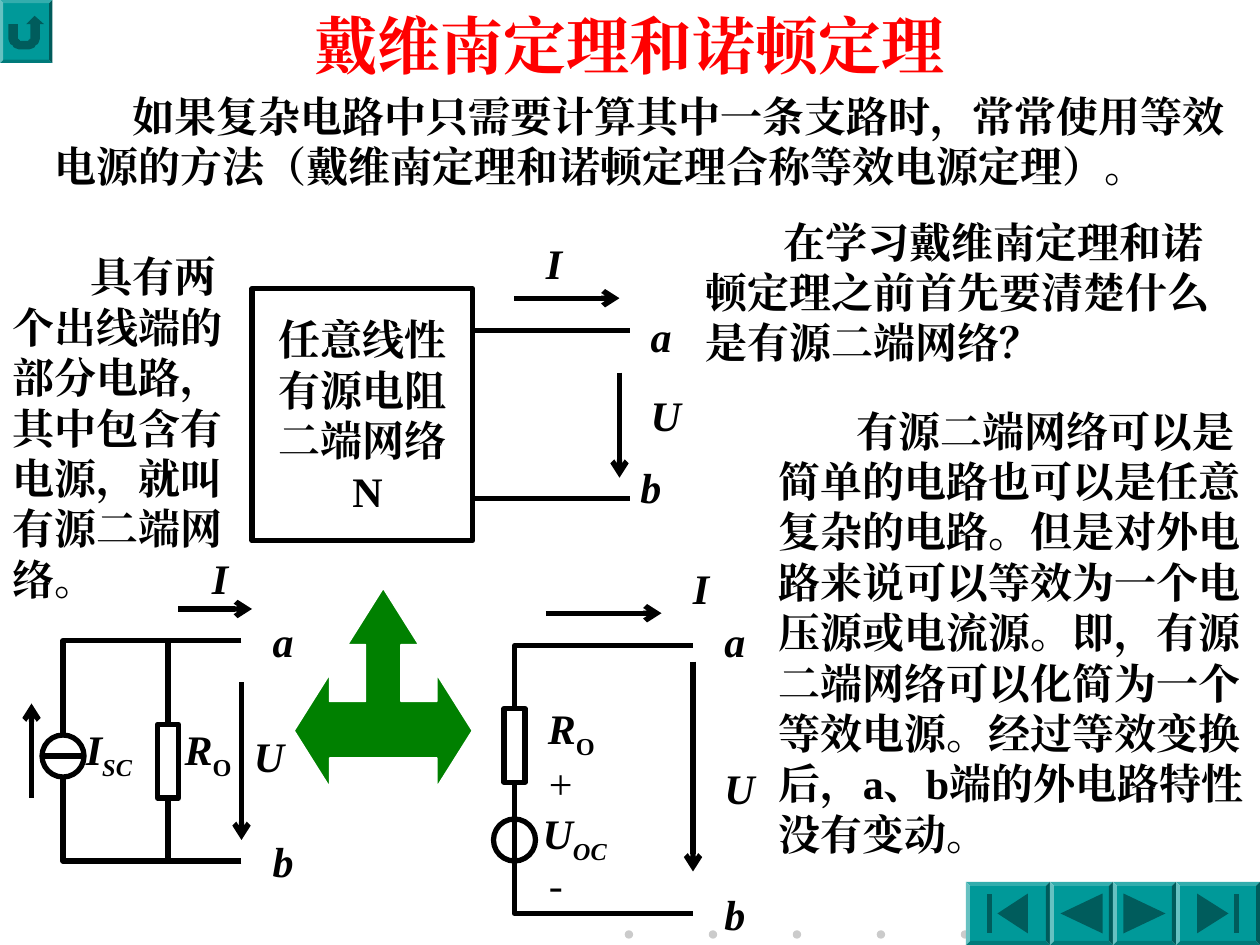
import math
import pptx
import pptx.util
import pptx.dml.color
import pptx.enum.shapes
import pptx.enum.text
import pptx.oxml
import pptx.oxml.ns

PX = 7620  # 120 px to the inch
FACE = "Times New Roman"
HEX = {"ink": "000000", "title": "FF0000", "arrow": "008000", "edge": "FFFFFF",
       "dot": "CBCBCB", "key": "009999", "glyph": "005C5C"}
KIND = pptx.enum.shapes.MSO_SHAPE
ALIGN = pptx.enum.text.PP_ALIGN
ANCHOR = pptx.enum.text.MSO_ANCHOR


def px(*vals):
    return [pptx.util.Emu(v * PX) for v in vals]


def rgb(name):
    return pptx.dml.color.RGBColor.from_string(HEX[name])


def arc(x, y, r, start, stop):
    """Points on a circle, angles in degrees, clockwise from the right."""
    angles = [math.radians(start + (stop - start) * i / 8) for i in range(9)]
    return [(x + r * math.cos(a), y + r * math.sin(a)) for a in angles]


class Deck:
    def __init__(self):
        self.prs = pptx.Presentation()
        self.prs.slide_width, self.prs.slide_height = px(1200, 900)
        self.slide = self.prs.slides.add_slide(self.prs.slide_layouts[5])
        self.shapes = self.slide.shapes

    def paint(self, shape, fill=None, line=None, width=3):
        shape.shadow.inherit = False
        if fill:
            shape.fill.solid()
            shape.fill.fore_color.rgb = rgb(fill)
        else:
            shape.fill.background()
        if line:
            shape.line.color.rgb = rgb(line)
            shape.line.width = pptx.util.Pt(width)
        else:
            shape.line.fill.background()
        return shape

    def shape(self, kind, box, **look):
        return self.paint(self.shapes.add_shape(kind, *px(*box)), **look)

    def free(self, pts, close=True, **look):
        form = self.shapes.build_freeform(*pts[0], scale=PX)
        form.add_line_segments(pts[1:], close=close)
        return self.paint(form.convert_to_shape(), **look)

    def line(self, start, end, head=False, join=None):
        link = self.shapes.add_connector(
            pptx.enum.shapes.MSO_CONNECTOR.STRAIGHT, *px(*start, *end))
        if join:
            link.begin_connect(*join)
        link.line.color.rgb = rgb("ink")
        link.line.width = pptx.util.Pt(3)
        props = link._element.spPr
        if head:
            props.get_or_add_ln().append(pptx.oxml.parse_xml(
                '<a:tailEnd %s type="arrow"/>' % pptx.oxml.ns.nsdecls("a")))
        props.append(pptx.oxml.parse_xml(
            "<a:effectLst %s/>" % pptx.oxml.ns.nsdecls("a")))

    def put(self, shape, paras, align=ALIGN.LEFT, anchor=ANCHOR.TOP,
            wrap=True, size=24, color="ink", indent=0):
        """Fill a shape; each paragraph is a list of (text, font values, sub)."""
        frame = shape.text_frame
        values = {"word_wrap": wrap, "vertical_anchor": anchor,
                  "auto_size": pptx.enum.text.MSO_AUTO_SIZE.NONE}
        values.update(zip(("margin_left", "margin_top", "margin_right",
                           "margin_bottom"), px(12, 6, 12, 6)))
        for key, val in values.items():
            setattr(frame, key, val)
        for i, runs in enumerate(paras):
            para = frame.add_paragraph() if i else frame.paragraphs[0]
            para.alignment = align
            para.line_spacing = pptx.util.Pt(size * 1.2)
            para.space_before = pptx.util.Pt(0)
            if indent:
                para._p.get_or_add_pPr().set("indent", str(indent * PX))
            for text, font, sub in runs:
                run = para.add_run()
                run.text = text
                look = {"name": FACE, "size": pptx.util.Pt(size), "bold": True, **font}
                for key, val in look.items():
                    setattr(run.font, key, val)
                run.font.color.rgb = rgb(color)
                props = run._r.get_or_add_rPr()
                if sub:
                    props.set("baseline", "-25000")
                props.find(pptx.oxml.ns.qn("a:latin")).addnext(pptx.oxml.parse_xml(
                    '<a:ea %s typeface="%s"/>' % (pptx.oxml.ns.nsdecls("a"), FACE)))

    def title(self, text, box):
        hold = self.shapes.title
        hold.left, hold.top, hold.width, hold.height = px(*box)
        self.put(hold, [[(text, {}, False)]], align=ALIGN.CENTER,
                 size=36, color="title")

    def text(self, text, box):
        self.put(self.shapes.add_textbox(*px(*box)),
                 [[(text, {}, False)]], indent=74)

    def label(self, text, x, y, width, sub="", slant=True):
        """A circuit symbol with an optional subscript."""
        box = self.shapes.add_textbox(*px(x, y, width, 67 if sub else 60))
        runs = [(text, {"italic": True} if slant else {"bold": False}, False)]
        if sub:
            runs.append((sub, {"italic": sub != "O"}, True))
        self.put(box, [runs], wrap=text in "IU")

    def key(self, box, *glyphs):
        """A bevelled button; glyph points count from its corner."""
        base = self.shape(KIND.BEVEL, box, fill="key")
        base.adjustments[0] = 0.0625
        for pts in glyphs:
            self.free([(box[0] + x, box[1] + y) for x, y in pts], fill="glyph")


def main():
    deck = Deck()
    for i in range(5):
        deck.shape(KIND.OVAL, (595 + 80 * i, 886, 8, 8), fill="dot")

    deck.key((0, 0, 50, 60),
             [(8, 23), (17, 23), *arc(21, 35, 4, 180, 90), *arc(25, 35, 4, 90, 0),
              (29, 23), (25, 23), (33, 15), (42, 23), (38, 23),
              *arc(26, 35, 12, 0, 90), *arc(20, 35, 12, 90, 180)])
    deck.key((920, 840, 80, 60), [(30, 30), (59, 11), (59, 49)],
             [(20, 11), (25, 11), (25, 49), (20, 49)])
    deck.key((1000, 840, 60, 60), [(10, 30), (50, 11), (50, 49)])
    deck.key((1060, 840, 60, 60), [(10, 11), (50, 30), (10, 49)])
    deck.key((1120, 840, 80, 60), [(50, 30), (20, 49), (20, 11)],
             [(55, 11), (60, 11), (60, 49), (55, 49)])

    deck.title("戴维南定理和诺顿定理", (230, 0, 740, 84))
    deck.text("如果复杂电路中只需要计算其中一条支路时，常常使用等效电源的方法"
              "（戴维南定理和诺顿定理合称等效电源定理）。", (40, 80, 1160, 108))
    deck.text("在学习戴维南定理和诺顿定理之前首先要清楚什么是有源二端网络？",
              (660, 200, 510, 156))
    deck.text("具有两个出线端的部分电路，其中包含有电源，就叫有源二端网络。",
              (0, 233, 250, 348))
    deck.text("有源二端网络可以是简单的电路也可以是任意复杂的电路。但是对外电路来说"
              "可以等效为一个电压源或电流源。即，有源二端网络可以化简为一个等效电源。"
              "经过等效变换后，a、b端的外电路特性没有变动。", (730, 380, 470, 444))

    # Two-terminal network
    net = deck.shape(KIND.RECTANGLE, (240, 275, 210, 240), line="ink")
    rows = ("任意线性", "有源电阻", "二端网络", " N")
    deck.put(net, [[(row, {}, False)] for row in rows], align=ALIGN.CENTER,
             anchor=ANCHOR.MIDDLE, wrap=False)
    for y in (315, 475):
        deck.line((450, y), (600, y))

    # Equivalence arrow, mirrored about its axis
    half = [(0, 560), (34, 614), (17, 614), (17, 668), (51, 668), (51, 642),
            (85, 696), (51, 750), (51, 722)]
    deck.free([(365 + x, y) for x, y in half]
              + [(365 - x, y) for x, y in half[:0:-1]],
              fill="arrow", line="edge", width=1)

    # Current source with parallel resistor, voltage source with series resistor
    boxes = [deck.shape(KIND.RECTANGLE, (x, y, 20, 70), line="ink")
             for x, y in ((150, 690), (480, 675))]
    for x, y in ((40, 700), (470, 780)):
        deck.shape(KIND.OVAL, (x, y, 40, 40), line="ink")
    for x, y, end in ((60, 610, 700), (60, 820, 740), (490, 615, 675), (490, 870, 745)):
        deck.free([(x + 170, y), (x, y), (x, end)], close=False, line="ink")
    deck.line((160, 690), (160, 610), join=(boxes[0], 0))
    deck.line((160, 760), (160, 820), join=(boxes[0], 2))
    deck.line((40, 720), (80, 720))

    # Current and voltage arrows
    for start, end in (((590, 355), (590, 455)), ((490, 284), (590, 284)),
                       ((230, 650), (230, 800)), ((170, 580), (240, 580)),
                       ((30, 760), (30, 670)), ((660, 630), (660, 830)),
                       ((520, 584), (630, 584))):
        deck.line(start, end, head=True)

    for name, x, y in (("a", 608, 290), ("b", 598, 434), ("a", 248, 580),
                       ("b", 248, 790), ("a", 678, 580), ("b", 678, 840)):
        deck.label(name, x, y, 43)
    for name, x, y in (("U", 608, 365), ("I", 508, 220), ("U", 230, 690),
                       ("I", 190, 520), ("U", 678, 720), ("I", 648, 530)):
        deck.label(name, x, y, 72 if name == "U" else 60)
    for name, sub, x, y in (("R", "O", 164, 690), ("I", "SC", 70, 690),
                            ("R", "O", 510, 670), ("U", "OC", 505, 770)):
        deck.label(name, x, y, 68 if name == "R" else 90, sub=sub)
    for sign, y in (("+", 716), ("-", 812)):
        deck.label(sign, 511, y, 47 if sign == "+" else 34, slant=False)

    deck.prs.save("out.pptx")


if __name__ == "__main__":
    main()
